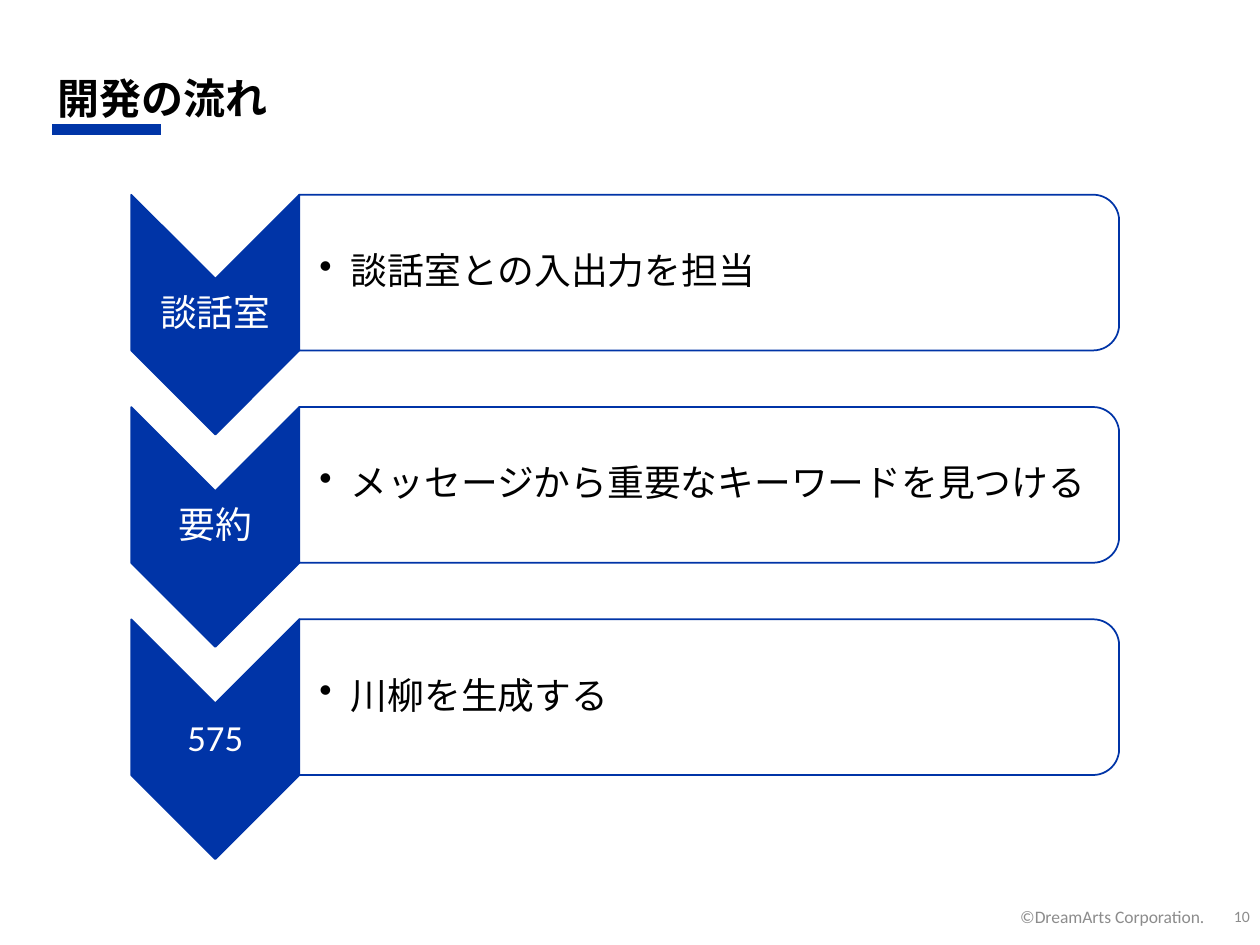
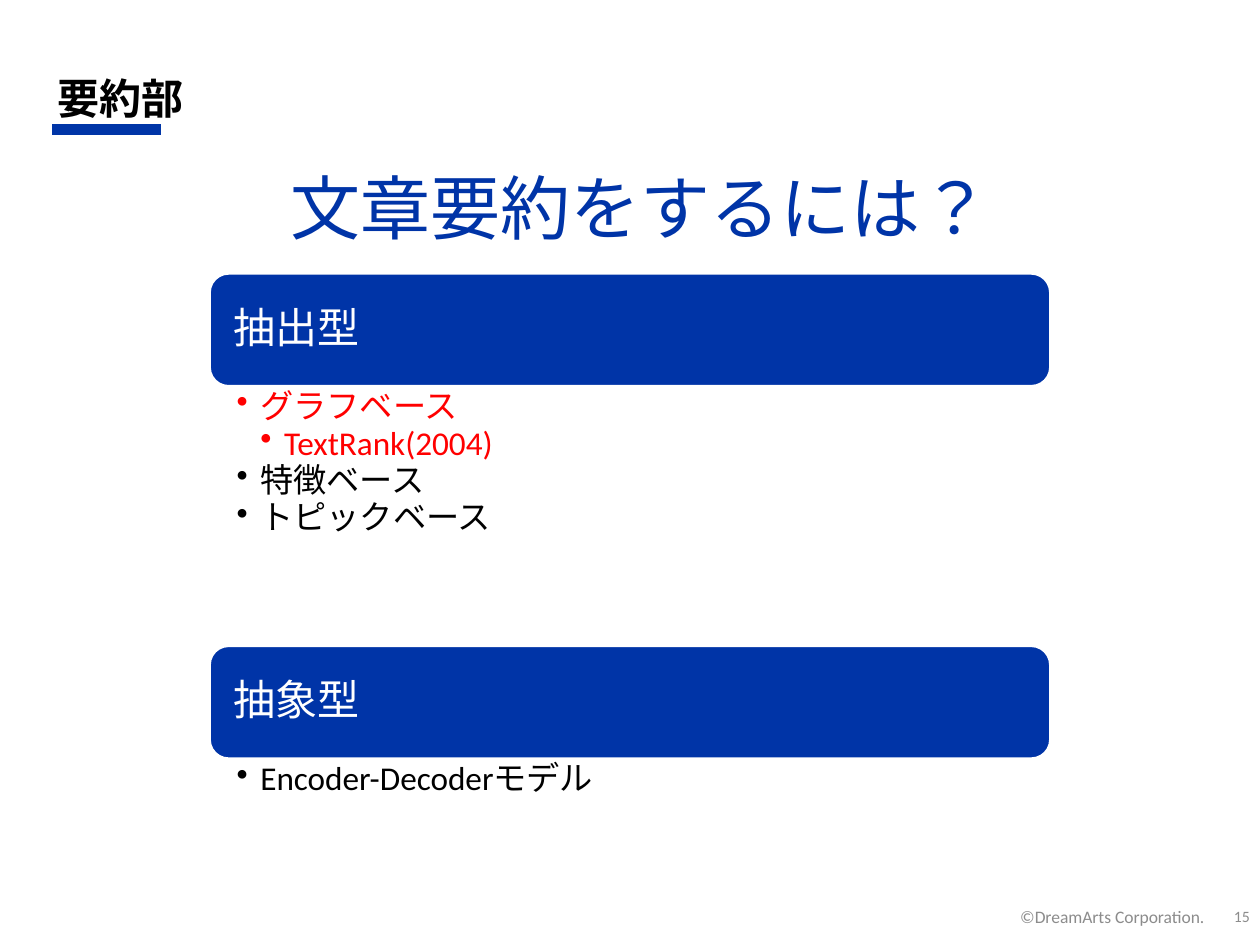
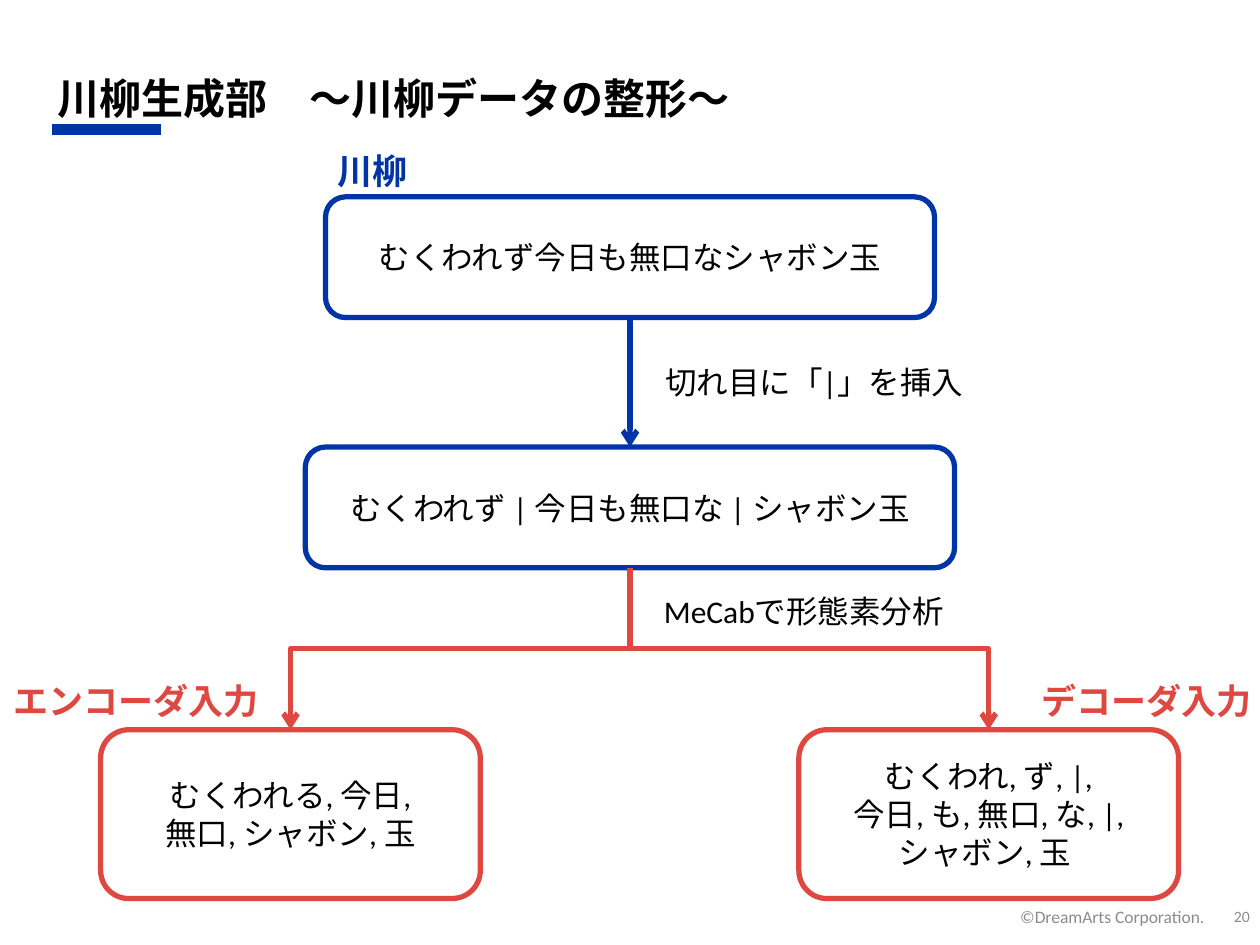
from lxml.etree import SubElement as Sub
from pptx import Presentation
from pptx.dml.color import RGBColor as Rgb
from pptx.enum.lang import MSO_LANGUAGE_ID as Lang
from pptx.enum.shapes import MSO_CONNECTOR as Link, MSO_SHAPE as Kind
from pptx.enum.text import MSO_ANCHOR as Anchor, PP_ALIGN as Align
from pptx.oxml.ns import qn
from pptx.util import Pt

FONT = "Calibri"
BLUE, RED, CORAL = "0034A7", "FF0000", "DE4840"
BLACK, WHITE, GRAY = "000000", "FFFFFF", "8C8C8C"
NOTICE = "©DreamArts Corporation. "
PAD = (7.2, 3.6, 7.2, 3.6)
THIN = (0.72,) * 4

STEPS = [
    ("談話室", "談話室との入出力を担当"),
    ("要約", "メッセージから重要なキーワードを見つける"),
    ("575", "川柳を生成する"),
]

ASK = "文章要約をするには？"
TYPES = [
    ("抽出型", [("グラフベース", 1, RED), ("TextRank(2004)", 2, RED),
             ("特徴ベース", 1, BLACK), ("トピックベース", 1, BLACK)]),
    ("抽象型", [("Encoder-Decoderモデル", 1, BLACK)]),
]

NODES = {
    "verse": (360, 112.5, 348, 69, BLUE, ["むくわれず今日も無口なシャボン玉"]),
    "split": (360, 255.5, 371, 69, BLUE, ["むくわれず | 今日も無口な | シャボン玉"]),
    "encode": (166, 417, 217, 96.5, CORAL, ["むくわれる, 今日,", "無口, シャボン, 玉"]),
    "decode": (565, 417, 217, 96.5, CORAL,
               ["むくわれ, ず, |,", "今日, も, 無口, な, |,", "シャボン, 玉 "]),
}
NAMES = [
    ("川柳", 186, 82, 57, BLUE),
    ("エンコーダ入力", 0.7, 385, 160, CORAL),
    ("デコーダ入力", 588.2, 385, 137.5, CORAL),
]
NOTES = [("切れ目に「|」を挿入", 373, 203.8), ("MeCabで形態素分析", 372.3, 334.8)]


def paint(color, code):
    color.rgb = Rgb.from_string(code)


def write(shape, lines, size, code, bold=False, align=Align.LEFT,
          anchor=Anchor.TOP, pad=PAD, lead=None, after=0, dent=0):
    frame = shape.text_frame
    frame.word_wrap = True
    frame.vertical_anchor = anchor
    frame.margin_left, frame.margin_top, frame.margin_right, frame.margin_bottom = map(Pt, pad)
    for i, line in enumerate(lines):
        text, level, tint = line if isinstance(line, tuple) else (line, 1, code)
        para = frame.add_paragraph() if i else frame.paragraphs[0]
        para.text = text
        para.alignment = align
        if dent:
            props = para._p.get_or_add_pPr()
            props.set("marL", str(Pt(dent * level)))
            props.set("indent", str(-Pt(dent)))
            Sub(props, qn("a:buChar")).set("char", "•")
        if lead:
            para.line_spacing = lead
        para.space_after = Pt(after)
        for run in para.runs:
            font = run.font
            font.name, font.size, font.bold = FONT, Pt(size), bold
            font.language_id = Lang.JAPANESE
            paint(font.color, tint)
    return frame


def label(slide, lines, x, y, w, h, size, code, **style):
    box = slide.shapes.add_textbox(Pt(x), Pt(y), Pt(w), Pt(h))
    return write(box, lines, size, code, **style)


def block(slide, kind, x, y, w, h, fill, edge, width=1):
    shape = slide.shapes.add_shape(kind, Pt(x), Pt(y), Pt(w), Pt(h))
    shape.shadow.inherit = False
    shape.fill.solid()
    paint(shape.fill.fore_color, fill)
    paint(shape.line.color, edge)
    shape.line.width = Pt(width)
    return shape


def turn(slide, kind, x, y, w, h, fill):
    shift = (w - h) / 2
    shape = block(slide, kind, x + shift, y - shift, h, w, fill, BLUE)
    shape.rotation = 90


def wire(slide, kind, x1, y1, x2, y2, code, width, arrow=True):
    line = slide.shapes.add_connector(kind, Pt(x1), Pt(y1), Pt(x2), Pt(y2))
    paint(line.line.color, code)
    line.line.width = Pt(width)
    if arrow:
        Sub(line.line._get_or_add_ln(), qn("a:tailEnd")).set("type", "arrow")
    Sub(line._element.spPr, qn("a:effectLst"))
    return line


def fork(slide, x1, y1, x2, y2, code):
    mid, cy = (x1 + x2) / 2, (y1 + y2) / 2
    side = 1 if x2 < x1 else -1
    drop, span = side * (y2 - y1) / 2, abs(x2 - x1) / 2
    line = wire(slide, Link.ELBOW, mid - drop, cy - span, mid + drop, cy + span, code, 3)
    turned = 90 if side > 0 else 270
    line._element.spPr.find(qn("a:xfrm")).set("rot", str(turned * 60000))


def start(deck, title, page):
    slide = deck.slides.add_slide(deck.slide_layouts[6])
    wire(slide, Link.STRAIGHT, 30, 74, 92, 74, "0035A7", 6.5, False)
    mid = Anchor.MIDDLE
    label(slide, [title], 26, 29, 667.5, 53, 24, BLACK, bold=True, anchor=mid, lead=Pt(30))
    label(slide, [NOTICE], 574.5, 513.5, 123, 20, 10, GRAY, align=Align.RIGHT, anchor=mid)
    label(slide, [str(page)], 693.4, 513.5, 32.4, 20, 9, GRAY, align=Align.CENTER, anchor=mid)
    return slide


def flow(deck):
    slide = start(deck, "開発の流れ", 10)
    left, wide, pitch = 75, 96, 121.3
    for i, (name, task) in enumerate(STEPS):
        top = 111.3 + i * pitch
        turn(slide, Kind.CHEVRON, left, top, wide, 137, BLUE)
        label(slide, [name], left, top + 48, wide, 41, 21, WHITE, align=Align.CENTER,
              anchor=Anchor.MIDDLE, pad=THIN, lead=0.9)
        turn(slide, Kind.ROUND_2_SAME_RECTANGLE, left + wide, top, 468.5, 89, WHITE)
        label(slide, [task], left + wide, top + 4.5, 464, 80, 21, BLACK,
              anchor=Anchor.MIDDLE, pad=(11.5, 0.7, 0.7, 0.7), lead=0.9, dent=18)


def digest(deck):
    slide = start(deck, "要約部", 15)
    ask = label(slide, [ASK], 157, 90.7, 418, 55.5, 40, BLUE, align=Align.CENTER)
    ask.word_wrap = False
    left, wide, tall = 120, 480, 64
    for i, (name, items) in enumerate(TYPES):
        top = 156.5 + i * 212.8
        bar = block(slide, Kind.ROUNDED_RECTANGLE, left, top, wide, tall, BLUE, WHITE)
        write(bar, [name], 24, WHITE, anchor=Anchor.MIDDLE, pad=(10.3,) * 4, lead=0.9)
        label(slide, items, left, top + tall, wide, 37 * len(items), 19, BLACK,
              pad=(15.2, 2.2, 13.7, 2.2), lead=0.9, after=0.7, dent=13.6)


def shaping(deck):
    slide = start(deck, "川柳生成部\u3000〜川柳データの整形〜".replace("\u3000", "　"), 20)
    made = {}
    for key, (mid, y, w, h, code, lines) in NODES.items():
        made[key] = block(slide, Kind.ROUNDED_RECTANGLE, mid - w / 2, y, w, h, WHITE, code, 3)
        write(made[key], lines, 18, BLACK, align=Align.CENTER, anchor=Anchor.MIDDLE)
    down = wire(slide, Link.STRAIGHT, 360, 181.5, 360, 255.5, BLUE, 3)
    down.begin_connect(made["verse"], 2)
    down.end_connect(made["split"], 0)
    mid, y, _, h, *_ = NODES["split"]
    for key in ("decode", "encode"):
        fork(slide, mid, y + h, *NODES[key][:2], CORAL)
    for text, x, y, w, code in NAMES:
        label(slide, [text], x, y, w, 31.5, 20, code, bold=True)
    for text, x, y in NOTES:
        label(slide, [text], x, y, 192.3, 29, 18, BLACK)


def main():
    deck = Presentation()
    deck.slide_width, deck.slide_height = Pt(720), Pt(540)
    for build in (flow, digest, shaping):
        build(deck)
    deck.save("out.pptx")


if __name__ == "__main__":
    main()
